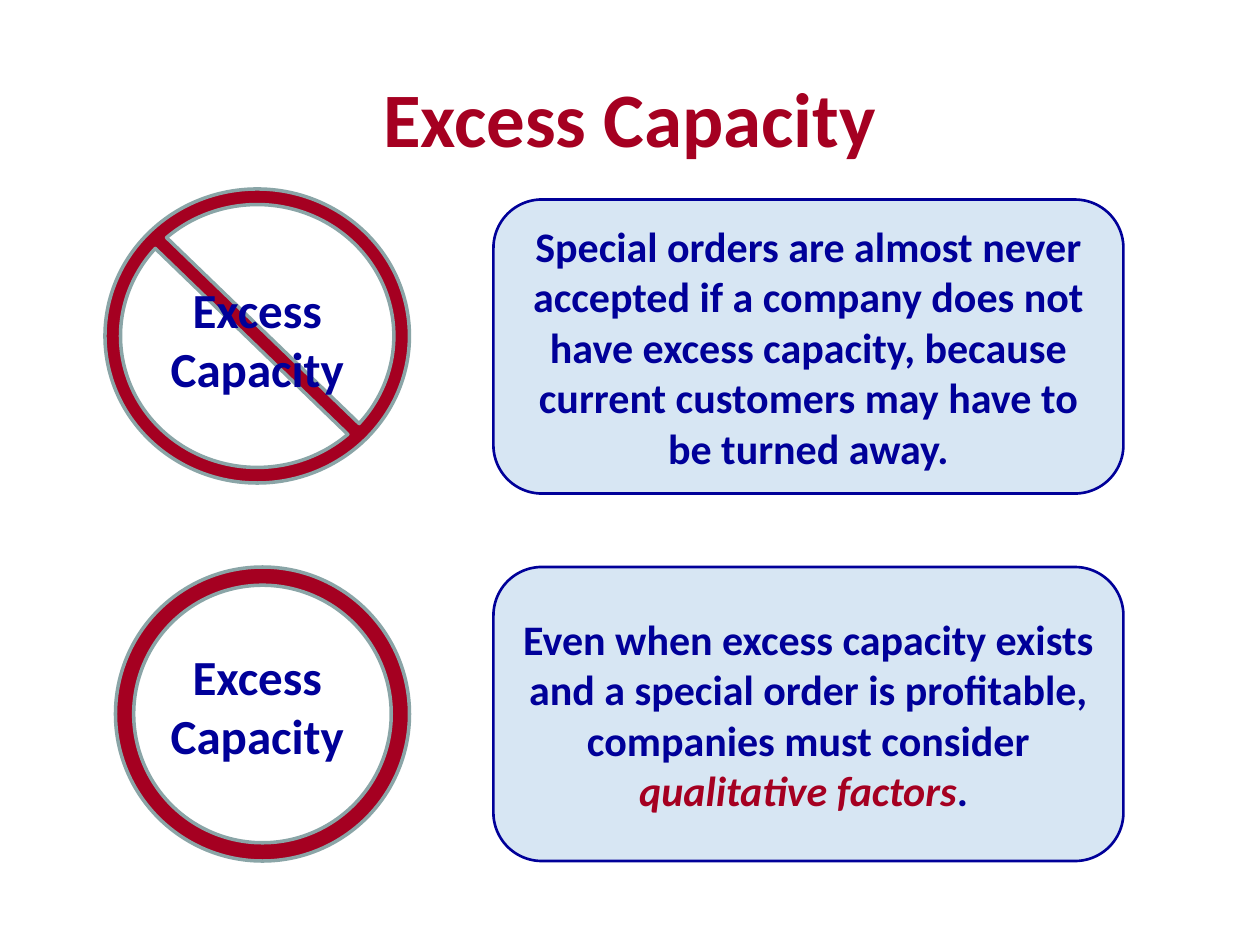
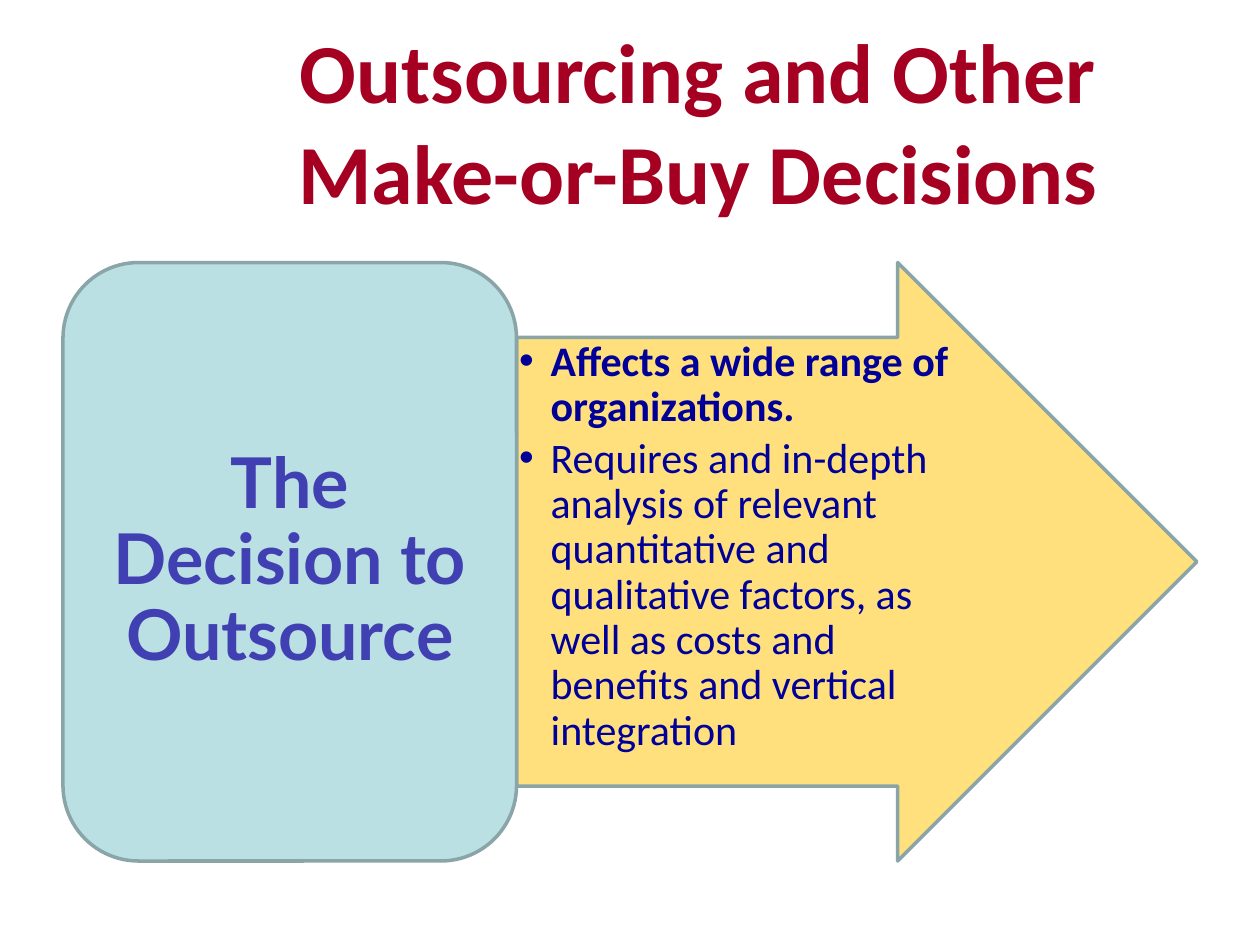
from pptx import Presentation
from pptx import util as u
from pptx.dml.color import RGBColor
from pptx.enum import shapes, text

RED, NAVY, PALE, GREY = "A50021", "000099", "D7E6F3", "8AA5A7"
AQUA, GOLD, VIOLET = "BBE0E3", "FFE07D", "4040B3"
KIND, ALIGN = shapes.MSO_SHAPE, text.PP_ALIGN
MID, TOP = text.MSO_ANCHOR.MIDDLE, text.MSO_ANCHOR.TOP
SNUG = (0.1, 0.05)

deck = Presentation()
deck.slide_width, deck.slide_height = u.Inches(10), u.Inches(7.5)
cell = deck.slide_width / 120  # the grid has 120 columns and 90 rows


def draw(slide, kind, spot, fill, line, width, adj=None):
    """Add a preset shape at spot: column, row, columns wide, rows high."""
    shape = slide.shapes.add_shape(kind, *[int(n * cell) for n in spot])
    shape.shadow.inherit = False
    shape.fill.solid()
    shape.fill.fore_color.rgb = RGBColor.from_string(fill)
    shape.line.color.rgb = RGBColor.from_string(line)
    shape.line.width = u.Pt(width)
    if adj:
        for i, n in enumerate(adj):
            shape.adjustments[i] = n
    return shape


def write(shape, paras, size, color=NAVY, face="Calibri", align=ALIGN.CENTER,
          anchor=MID, inset=SNUG, fit=text.MSO_AUTO_SIZE.NONE, **form):
    """Fill shape with paragraphs, each a list of (words, font changes)."""
    frame = shape.text_frame
    side, edge = [u.Inches(n) for n in inset]
    look = dict(word_wrap=True, auto_size=fit, vertical_anchor=anchor,
                margin_left=side, margin_right=side,
                margin_top=edge, margin_bottom=edge)
    for key, val in look.items():
        setattr(frame, key, val)
    for i, runs in enumerate(paras):
        para = frame.add_paragraph() if i else frame.paragraphs[0]
        for key, val in dict(alignment=align, space_before=u.Pt(0), **form).items():
            setattr(para, key, val)
        for words, change in runs:
            run = para.add_run()
            run.text = words
            font = dict(name=face, size=u.Pt(size), bold=True, color=color)
            font.update(change)
            run.font.color.rgb = RGBColor.from_string(font.pop("color"))
            for key, val in font.items():
                setattr(run.font, key, val)


# Both slides: layout, title, title place and size
pages = []
for layout, words, spot, size in [
    (5, "Excess Capacity", (6, 3.6, 108, 15), 44),
    (1, "Outsourcing and Other Make-or-Buy Decisions", (21, 4, 91, 15), 48),
]:
    slide = deck.slides.add_slide(deck.slide_layouts[layout])
    title = slide.shapes.title
    title.left, title.top, title.width, title.height = [int(n * cell) for n in spot]
    write(title, [[(words, {})]], size, RED)
    pages.append(slide)
first, second = pages

# Slide 1: a sign and a card in each row
signs = [(KIND.NO_SYMBOL, (10, 18, 29, 28), 0.053),
         (KIND.DONUT, (11, 54, 28, 28), 0.062)]
for kind, spot, thick in signs:
    draw(first, kind, spot, RED, GREY, 2, [thick])
for row in (26, 61):
    label = first.shapes.add_textbox(*[int(n * cell) for n in (14, row, 21, 12.4)])
    write(label, [[("Excess Capacity", {})]], 28, anchor=TOP,
          fit=text.MSO_AUTO_SIZE.SHAPE_TO_FIT_TEXT)
cards = [
    (19, [("Special orders are almost never accepted if a company does not have "
           "excess capacity, because current customers may have to be turned away.", {})]),
    (54, [("Even when excess capacity exists and a special order is profitable, "
           "companies must consider ", {}),
          ("qualitative factors", {"color": RED, "italic": True}),
          (". ", {})]),
]
for row, runs in cards:
    card = draw(first, KIND.ROUNDED_RECTANGLE, (47, row, 60, 28), PALE, NAVY, 1.5, [0.165])
    write(card, [runs], 24)

# Slide 2: a block whose right side meets the arrow
left, top, wide, high = 6, 25, 43.2, 57
joint = left + wide
draw(second, KIND.RIGHT_ARROW, (joint, top, wide * 1.5, high), GOLD, GREY, 2, [0.75, 0.5])

body = second.placeholders[1]
spot = (joint, top + high / 8, wide, high * 3 / 4)
body.left, body.top, body.width, body.height = [int(n * cell) for n in spot]
write(body, [
    [("Affects a wide range of organizations.", {})],
    [("Requires and in-depth analysis of relevant quantitative and qualitative "
      "factors, as well as costs and benefits and vertical integration", {"bold": False})],
], 24, align=ALIGN.LEFT, anchor=TOP, inset=(0.02, 0.02),
    line_spacing=0.9, space_after=u.Pt(3.6))
for para in body.text_frame.paragraphs:
    props = para._p.get_or_add_pPr()
    props.set("marL", str(u.Inches(0.25)))
    props.set("indent", str(-u.Inches(0.25)))
body.element.getparent().append(body.element)  # in front of the arrow

block = draw(second, KIND.ROUNDED_RECTANGLE, (left, top, wide, high), AQUA, GREY, 2)
write(block, [[("The Decision to Outsource", {})]], 40, VIOLET, "Lato",
      inset=(0.17, 0.08), line_spacing=0.9)

deck.save("out.pptx")
